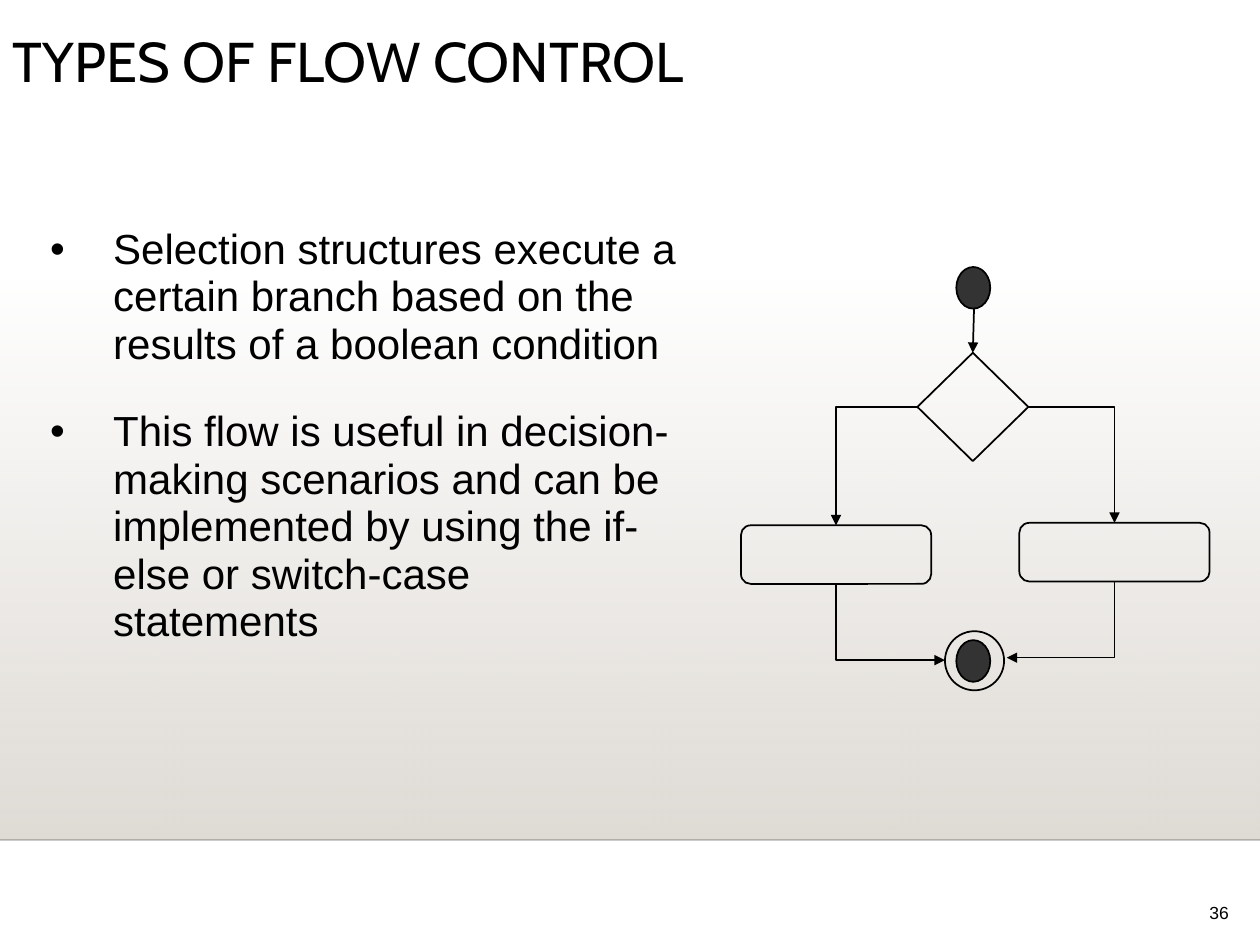
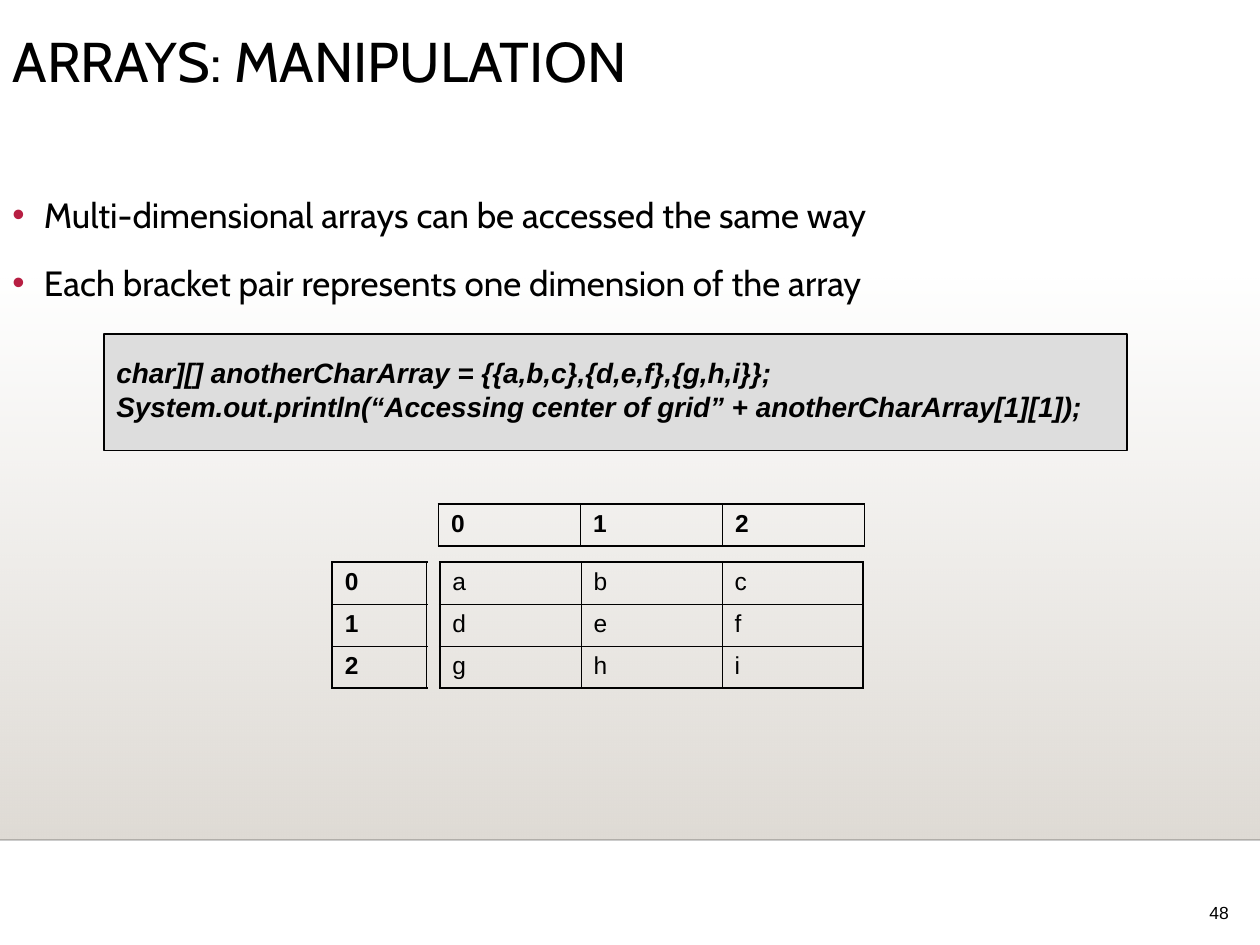
import pptx
import pptx.dml.color
import pptx.enum.dml
import pptx.enum.shapes
import pptx.enum.text
import pptx.oxml
import pptx.oxml.ns
import pptx.util
from lxml import etree

Pt = pptx.util.Pt
qn = pptx.oxml.ns.qn
SHAPES = pptx.enum.shapes.MSO_SHAPE
CONNECTORS = pptx.enum.shapes.MSO_CONNECTOR
ANCHOR = pptx.enum.text.MSO_ANCHOR
ALIGN = pptx.enum.text.PP_ALIGN

BLACK, BAND, DOT, CODE_FILL, ACCENT = "000000", "DFDBD5", "333333", "DDDDDD", "B71E42"
SLIDE_WIDTH, SLIDE_HEIGHT = 720, 540
BAND_TOP, BAND_BOTTOM = 158.6, 480
THICK, THIN = 1.08, 0.45
ROW_HEIGHT = 23.8

TITLE = {"size": Pt(32), "name": "Cabin"}
NUMBER = {"size": Pt(10), "name": "Arial"}
FLOW_TEXT = {"size": Pt(24), "name": "Arial"}
ARRAY_TEXT = {"size": Pt(20), "name": "Cabin"}
CODE = {"size": Pt(16), "name": "Arial", "bold": True, "italic": True}
CELL = {"size": Pt(14), "name": "Arial", "bold": False}
INDEX = {**CELL, "bold": True}


def color(value):
    """Turn a hex string into a colour."""
    return pptx.dml.color.RGBColor.from_string(value)


def set_attributes(target, values):
    """Set each attribute named in a dict of format values."""
    for name, value in values.items():
        setattr(target, name, value)


def add_element(parent, tag, **attributes):
    """Append a DrawingML element and return it."""
    return etree.SubElement(parent, qn(tag), attributes)


def set_alpha(element, percent):
    """Make a colour element partly transparent."""
    add_element(element, "a:alpha", val=str(percent * 1000))


def add_bullet(paragraph, bullet_color, indent):
    """Give a paragraph a coloured bullet and a hanging indent."""
    properties = paragraph._p.get_or_add_pPr()
    properties.set("marL", str(Pt(indent)))
    properties.set("indent", str(-Pt(indent)))
    fill = add_element(properties, "a:buClr")
    add_element(fill, "a:srgbClr", val=bullet_color)
    add_element(properties, "a:buFont", typeface="Arial")
    add_element(properties, "a:buChar", char="•")


def write(frame, lines, font, gap=0, spacing=1.0, align=ALIGN.LEFT, bullet=None):
    """Fill a text frame with one paragraph per line."""
    for position, line in enumerate(lines):
        paragraph = frame.add_paragraph() if position else frame.paragraphs[0]
        if bullet:
            add_bullet(paragraph, *bullet)
        set_attributes(paragraph, {"line_spacing": spacing, "alignment": align,
                                   "space_before": Pt(gap if position else 0)})
        run = paragraph.add_run()
        run.text = line
        set_attributes(run.font, font)
        run.font.color.rgb = color(BLACK)


def add_text(slide, box, lines, font, anchor=ANCHOR.TOP, **layout):
    """Add a wrapping text box."""
    frame = slide.shapes.add_textbox(*map(Pt, box)).text_frame
    set_attributes(frame, {"word_wrap": True, "vertical_anchor": anchor})
    write(frame, lines, font, **layout)


def add_outlined(slide, kind, box, fill=None):
    """Add a preset shape with a black outline and an optional fill."""
    shape = slide.shapes.add_shape(kind, *map(Pt, box))
    shape.shadow.inherit = False
    shape.line.width = Pt(1)
    shape.line.color.rgb = color(BLACK)
    if fill:
        shape.fill.solid()
        shape.fill.fore_color.rgb = color(fill)
    else:
        shape.fill.background()
    return shape


def add_line(slide, begin, end, arrow=None, elbow=False):
    """Add a straight line, or an elbow that leaves its begin sideways."""
    kind = CONNECTORS.ELBOW if elbow else CONNECTORS.STRAIGHT
    line = slide.shapes.add_connector(kind, *map(Pt, begin + end))
    line.line.width = Pt(1)
    line.line.color.rgb = color(BLACK)
    if elbow:
        line._element.spPr.find(qn("a:prstGeom")).set("prst", "bentConnector2")
    if arrow:
        add_element(line.line._get_or_add_ln(), arrow, type="triangle")
    add_element(line._element.spPr, "a:effectLst")
    return line


def add_background(slide):
    """Add the fading band and the rule below it."""
    box = (0, BAND_TOP, SLIDE_WIDTH, BAND_BOTTOM - BAND_TOP)
    band = slide.shapes.add_shape(SHAPES.RECTANGLE, *map(Pt, box))
    band.shadow.inherit = False
    band.line.fill.background()
    band.fill.gradient()
    band.fill.gradient_angle = 270
    for stop, place in zip(band.fill.gradient_stops, (0, 1)):
        stop.position = place
        stop.color.rgb = color(BAND)
    set_alpha(next(band._element.spPr.iter(qn("a:srgbClr"))), 0)
    rule = add_line(slide, (0, BAND_BOTTOM), (SLIDE_WIDTH, BAND_BOTTOM))
    set_alpha(next(rule._element.spPr.iter(qn("a:srgbClr"))), 20)


def add_slide(presentation, title, number):
    """Add a slide with the shared background, title and number."""
    slide = presentation.slides.add_slide(presentation.slide_layouts[5])
    add_background(slide)
    placeholder = slide.shapes.title
    set_attributes(placeholder, {"left": Pt(0), "top": Pt(16),
                                 "width": Pt(642), "height": Pt(72)})
    set_attributes(placeholder.text_frame, {"vertical_anchor": ANCHOR.TOP,
                                            "word_wrap": True})
    write(placeholder.text_frame, [title], TITLE, spacing=0.9)
    add_text(slide, (576, 509.8, 133.2, 20.9), [number], NUMBER,
             anchor=ANCHOR.BOTTOM, spacing=0.8, align=ALIGN.RIGHT)
    return slide


def set_borders(cell, widths):
    """Draw the left, right, top and bottom borders of a cell."""
    properties = cell._tc.get_or_add_tcPr()
    for side, width in zip("LRTB", widths):
        border = add_element(properties, f"a:ln{side}", w=str(Pt(width)))
        fill = add_element(border, "a:solidFill")
        add_element(fill, "a:srgbClr", val=BLACK)


def add_grid(slide, left, top, column_width, rows, font):
    """Add an unfilled table with a thick frame and thin inner lines."""
    row_count, column_count = len(rows), len(rows[0])
    box = (left, top, column_width * column_count, ROW_HEIGHT * row_count)
    table = slide.shapes.add_table(row_count, column_count, *map(Pt, box)).table
    set_attributes(table, {"first_row": False, "horz_banding": False})
    for row, values in enumerate(rows):
        for column, value in enumerate(values):
            cell = table.cell(row, column)
            edges = (column == 0, column == column_count - 1,
                     row == 0, row == row_count - 1)
            set_borders(cell, [THICK if edge else THIN for edge in edges])
            cell.fill.background()
            write(cell.text_frame, [value], font)


def add_selection_flow(slide):
    """Draw the two-branch selection flow chart."""
    circle, step = SHAPES.FLOWCHART_CONNECTOR, SHAPES.ROUNDED_RECTANGLE
    for top in (152.6, 365.8):
        add_outlined(slide, circle, (546.5, top, 19.4, 23.8), DOT)
    add_outlined(slide, circle, (540, 360.7, 33.8, 33.8))
    add_outlined(slide, SHAPES.DIAMOND, (524.2, 201.6, 63.4, 61.9))
    add_line(slide, (556.6, 176.4), (555.9, 201.6), "a:tailEnd")
    branches = (
        (423.4, 300.2, 524.2, (540, 377.3)),
        (582.5, 298.8, 587.5, (575.3, 375.8)),
    )
    width, height = 108.7, 33.5
    for left, top, diamond_corner, finish in branches:
        add_outlined(slide, step, (left, top, width, height))
        middle = left + width / 2
        add_line(slide, (diamond_corner, 232.6), (middle, top), "a:tailEnd", True)
        add_line(slide, finish, (middle, top + height), "a:headEnd", True)


def add_flow_slide(presentation):
    """Build the slide on selection structures."""
    slide = add_slide(presentation, "TYPES OF FLOW CONTROL", "36")
    add_text(slide, (21.6, 126, 375.1, 363), [
        "Selection structures execute a certain branch based on the results "
        "of a boolean condition",
        "This flow is useful in decision-making scenarios and can be "
        "implemented by using the if-else or switch-case statements",
    ], FLOW_TEXT, gap=23, spacing=0.94, bullet=(BLACK, 36))
    add_selection_flow(slide)


def add_array_slide(presentation):
    """Build the slide on multi-dimensional arrays."""
    slide = add_slide(presentation, "ARRAYS: MANIPULATION", "48")
    add_text(slide, (0, 102.2, 666, 80), [
        "Multi-dimensional arrays can be accessed the same way",
        "Each bracket pair represents one dimension of the array",
    ], ARRAY_TEXT, gap=10, spacing=1.2, bullet=(ACCENT, 18))
    grid_top = 321.1
    add_grid(slide, 251.3, grid_top, 80.7, ["abc", "def", "ghi"], CELL)
    add_grid(slide, 250.6, 288, 81.1, ["012"], INDEX)
    add_grid(slide, 189.8, grid_top, 54, ["0", "1", "2"], INDEX)
    code = add_outlined(slide, SHAPES.RECTANGLE, (59.4, 190.7, 584.8, 66.8), CODE_FILL)
    set_attributes(code.text_frame, {"word_wrap": False,
                                     "vertical_anchor": ANCHOR.MIDDLE})
    write(code.text_frame, [
        "char][] anotherCharArray = {{a,b,c},{d,e,f},{g,h,i}};",
        "System.out.println(“Accessing center of grid” + anotherCharArray[1][1]);",
    ], CODE, gap=4, spacing=0.8)


def main():
    """Build and save the presentation."""
    presentation = pptx.Presentation()
    set_attributes(presentation, {"slide_width": Pt(SLIDE_WIDTH),
                                  "slide_height": Pt(SLIDE_HEIGHT)})
    add_flow_slide(presentation)
    add_array_slide(presentation)
    presentation.save("out.pptx")


if __name__ == "__main__":
    main()
